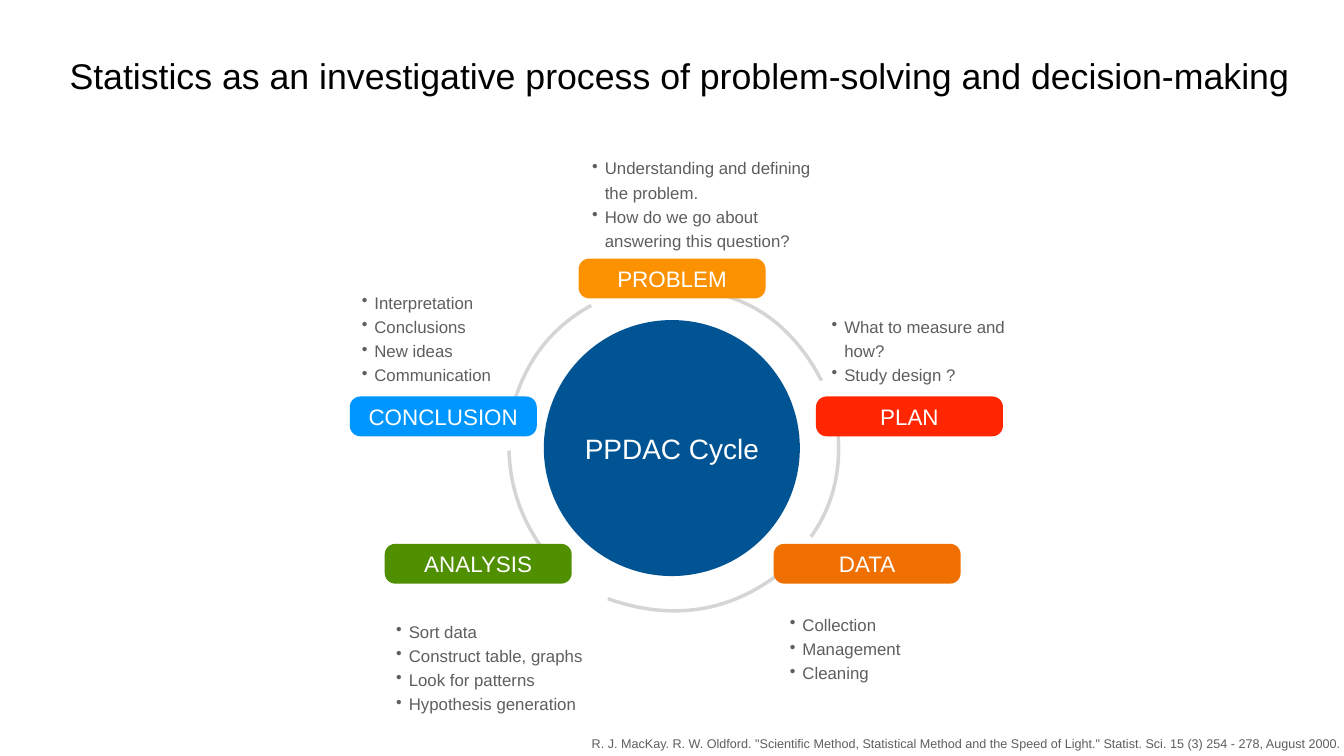
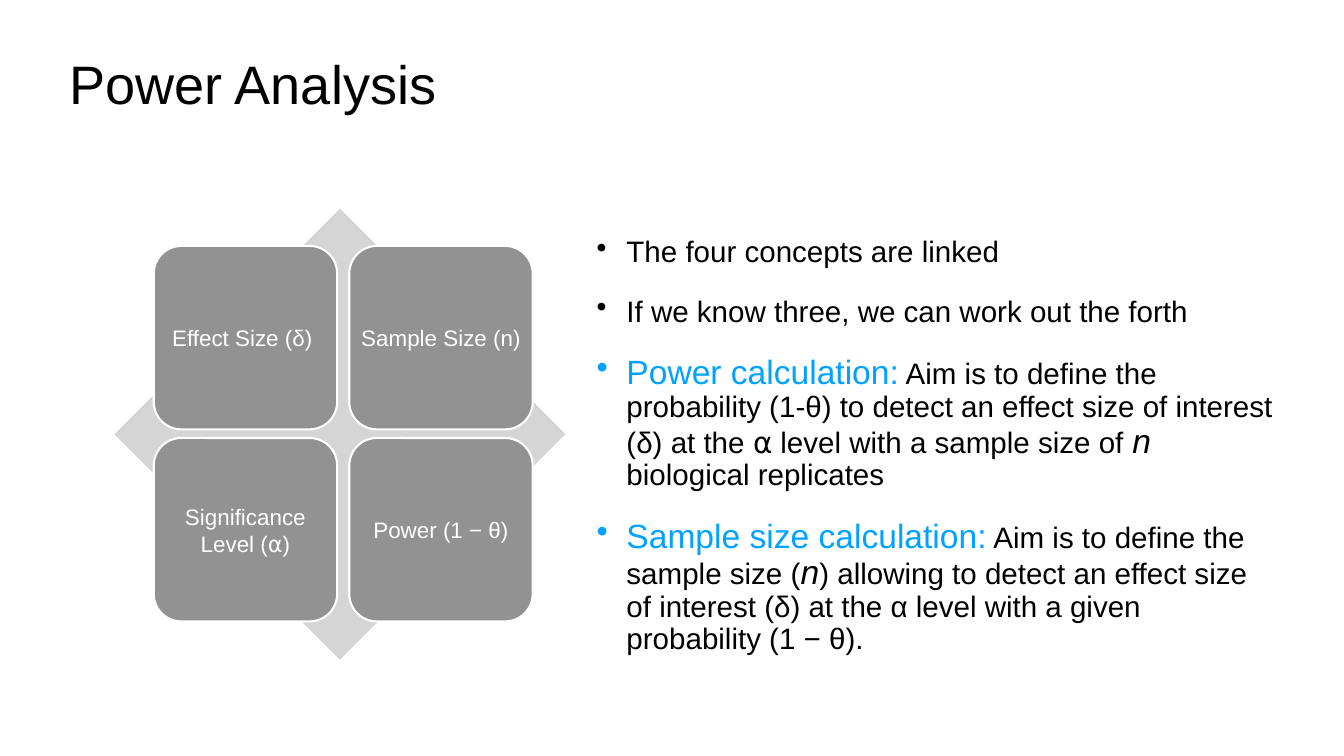
from dataclasses import dataclass

from lxml import etree
from pptx import Presentation
from pptx.dml.color import RGBColor
from pptx.enum.shapes import MSO_SHAPE
from pptx.enum.text import MSO_ANCHOR, PP_ALIGN
from pptx.oxml.ns import qn
from pptx.util import Inches, Pt

ROUND, OVAL, DIAMOND = MSO_SHAPE.ROUNDED_RECTANGLE, MSO_SHAPE.OVAL, MSO_SHAPE.DIAMOND
TOP, MIDDLE, BOTTOM = MSO_ANCHOR.TOP, MSO_ANCHOR.MIDDLE, MSO_ANCHOR.BOTTOM
LEFT, CENTER, RIGHT = PP_ALIGN.LEFT, PP_ALIGN.CENTER, PP_ALIGN.RIGHT

WIDTH, HEIGHT = Inches(26.67), Inches(15)
COLUMNS, ROWS = 80, 45


@dataclass(frozen=True)
class Theme:
    font: str = "Arial"
    black: str = "000000"
    white: str = "FFFFFF"
    text_gray: str = "5E5E5E"
    pale_gray: str = "D5D5D5"
    tile_gray: str = "929292"
    navy: str = "005493"
    blue: str = "0096FF"
    accent: str = "00A2FF"
    amber: str = "FC9201"
    red: str = "FF2600"
    orange: str = "EF7001"
    green: str = "4F8F00"
    title: float = 77.3
    long_title: float = 51
    lead: float = 48
    body: float = 42.2
    hub: float = 40
    label: float = 32
    note: float = 24
    source: float = 18


T = Theme()


def x(columns):
    return round(columns * WIDTH / COLUMNS)


def y(rows):
    return round(rows * HEIGHT / ROWS)


def rgb(color):
    return RGBColor.from_string(color)


def add_bullet(p, color, indent):
    pPr = p._p.get_or_add_pPr()
    pPr.set("marL", str(Inches(indent[0])))
    pPr.set("indent", str(Inches(indent[1])))
    fill = etree.SubElement(pPr, qn("a:buClr"))
    etree.SubElement(fill, qn("a:srgbClr")).set("val", color)
    etree.SubElement(pPr, qn("a:buChar")).set("char", "•")


def write(tf, text, *, size, color, align=LEFT, anchor=TOP, inset=0.06,
          spacing=None, before=0, indent=None):
    """Fill tf with a string or a list of paragraphs.

    A paragraph is a string or a list of (text, overrides) runs; indent
    turns on bullets, which take the colour of the first run.
    """
    tf.word_wrap = True
    tf.vertical_anchor = anchor
    tf.margin_left = tf.margin_right = tf.margin_top = tf.margin_bottom = Inches(inset)
    for i, runs in enumerate([text] if isinstance(text, str) else text):
        p = tf.paragraphs[0] if i == 0 else tf.add_paragraph()
        runs = [(runs, {})] if isinstance(runs, str) else runs
        if indent:
            add_bullet(p, runs[0][1].get("color", color), indent)
        p.alignment = align
        if spacing:
            p.line_spacing = spacing
        if before and i:
            p.space_before = Pt(before)
        for words, style in runs:
            r = p.add_run()
            r.text = words
            r.font.name = T.font
            r.font.size = Pt(style.get("size", size))
            r.font.italic = style.get("italic", False)
            r.font.color.rgb = rgb(style.get("color", color))


def bezier(start, c1, c2, end, steps=24):
    """Return points along a cubic curve, both ends included."""
    def at(t):
        weights = ((1 - t) ** 3, 3 * t * (1 - t) ** 2, 3 * t * t * (1 - t), t ** 3)
        return tuple(sum(w * pt[axis] for w, pt in zip(weights, (start, c1, c2, end)))
                     for axis in (0, 1))
    return [at(i / steps) for i in range(steps + 1)]


class Deck:
    """Draws on the current slide; lengths are columns and rows of the grid."""

    def __init__(self, prs):
        self.prs = prs
        self.s = None

    def new_slide(self, title, size, width):
        self.s = self.prs.slides.add_slide(self.prs.slide_layouts[6])
        self.text((3.96, 3.54, width, 4.71), title, size=size, color=T.black, spacing=0.8)

    def text(self, box, text, **style):
        left, top, width, height = box
        sp = self.s.shapes.add_textbox(x(left), y(top), x(width), y(height))
        write(sp.text_frame, text, **style)

    def shape(self, kind, box, fill=None, line=None, radius=None):
        left, top, width, height = box
        sp = self.s.shapes.add_shape(kind, x(left), y(top), x(width), y(height))
        if radius:
            sp.adjustments[0] = radius / min(width, height)
        return self.paint(sp, fill, line)

    def paint(self, sp, fill=None, line=None):
        sp.shadow.inherit = False
        if fill:
            sp.fill.solid()
            sp.fill.fore_color.rgb = rgb(fill)
        else:
            sp.fill.background()
        if line:
            color, weight = line
            sp.line.color.rgb = rgb(color)
            sp.line.width = Pt(weight)
        else:
            sp.line.fill.background()
        return sp

    def label(self, kind, box, text, fill, size=T.label, **look):
        sp = self.shape(kind, box, fill, **look)
        write(sp.text_frame, text, size=size, color=T.white, align=CENTER, anchor=MIDDLE)

    def note(self, box, items):
        sp = self.shape(ROUND, box, radius=0.63)
        write(sp.text_frame, items, size=T.note, color=T.text_gray, anchor=BOTTOM,
              inset=0.11, spacing=1.2, indent=(0.39, -0.25))

    def arc(self, *controls):
        points = [(x(px), y(py)) for px, py in bezier(*controls)]
        builder = self.s.shapes.build_freeform(*points[0])
        builder.add_line_segments(points[1:], close=False)
        self.paint(builder.convert_to_shape(), line=(T.pale_gray, 5))


# Stage name, colour, label position, note box, note items
STAGES = [
    ("PROBLEM", T.amber, (34.44, 15.39), (34.32, 7.68, 14.8, 7.77),
     ["Understanding and defining the problem.",
      "How do we go about answering this question?"]),
    ("CONCLUSION", T.blue, (20.82, 23.6), (20.6, 15.4, 11.15, 8.05),
     ["Interpretation", "Conclusions", "New ideas", "Communication"]),
    ("PLAN", T.red, (48.57, 23.6), (48.57, 14.43, 14.4, 9),
     ["What to measure and how?", "Study design ?"]),
    ("ANALYSIS", T.green, (22.9, 32.37), (22.65, 35.55, 16.9, 7.47),
     ["Sort data", "Construct table, graphs", "Look for patterns",
      "Hypothesis generation"]),
    ("DATA", T.orange, (46.05, 32.37), (46.08, 35.16, 11, 6.03),
     ["Collection", "Management", "Cleaning"]),
]

# Control points of the curves that join the stages
ARCS = [
    ((39.33, 17.19), (43.68, 16.95), (46.89, 18.78), (48.9, 22.65)),
    ((49.86, 25.53), (50.1, 27.99), (49.59, 30.12), (48.27, 31.95)),
    ((32.94, 33.48), (31.23, 31.47), (30.36, 29.25), (30.3, 26.82)),
    ((30.39, 24.75), (31.08, 21.75), (32.67, 19.56), (35.19, 18.18)),
    ((46.74, 33.87), (43.62, 36.42), (40.11, 37.02), (36.18, 35.64)),
]

CONCEPTS = ["Effect Size (δ) ", "Sample Size (n)", "Significance Level (⍺)", "Power (1 − θ)"]

LEAD = {"size": T.lead, "color": T.accent}
SYMBOL = {"size": T.lead, "italic": True}
POINTS = [
    "The four concepts are linked",
    "If we know three, we can work out the forth",
    [("Power calculation:", LEAD),
     (" Aim is to define the probability (1-θ) to detect an effect size of interest (δ) "
      "at the ⍺ level with a sample size of ", {}),
     ("n ", SYMBOL),
     ("biological replicates", {})],
    [("Sample size calculation:", LEAD),
     (" Aim is to define the sample size (", {}),
     ("n", SYMBOL),
     (") allowing to detect an effect size of interest (δ) at the α level with a given "
      "probability (1 − θ).", {})],
]


def cycle_slide(deck):
    deck.new_slide("Statistics as an investigative process of problem-solving "
                   "and decision-making", T.long_title, 76.02)
    for _, _, _, box, items in STAGES:
        deck.note(box, items)
    deck.label(OVAL, (32.37, 19.05, 15.24, 15.24), "PPDAC Cycle", T.navy, size=T.hub)
    for controls in ARCS:
        deck.arc(*controls)
    for name, color, (left, top), _, _ in STAGES:
        deck.label(ROUND, (left, top, 11.13, 2.37), name, color, radius=0.63)
    deck.text((34.65, 43.59, 45.33, 1.38),
              'R. J. MacKay. R. W. Oldford. "Scientific Method, Statistical Method and the '
              'Speed of Light." Statist. Sci. 15 (3) 254 - 278, August 2000.',
              size=T.source, color=T.text_gray, align=RIGHT, anchor=MIDDLE)


def power_slide(deck):
    deck.new_slide("Power Analysis", T.title, 72.09)
    deck.shape(DIAMOND, (6.81, 12.42, 26.85, 26.85), T.pale_gray)
    for i, concept in enumerate(CONCEPTS):
        row, col = divmod(i, 2)
        box = (9.15 + 11.64 * col, 14.64 + 11.43 * row, 10.92, 10.92)
        deck.label(ROUND, box, concept, T.tile_gray, line=(T.white, 3), radius=1.64)
    deck.text((35.34, 13.95, 40.68, 27.09), POINTS, size=T.body, color=T.black,
              spacing=0.9, before=39, indent=(0.59, -0.59))


def main():
    prs = Presentation()
    prs.slide_width, prs.slide_height = WIDTH, HEIGHT
    deck = Deck(prs)
    cycle_slide(deck)
    power_slide(deck)
    prs.save("out.pptx")


if __name__ == "__main__":
    main()
